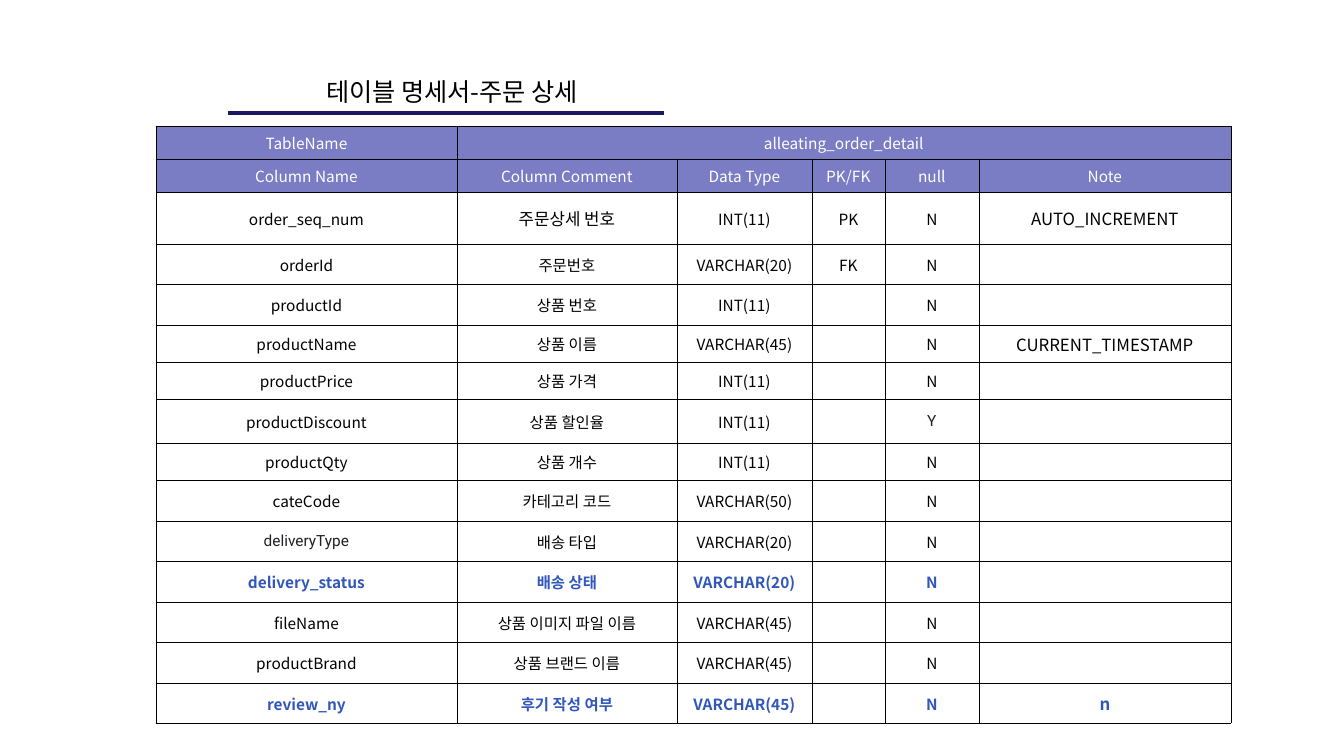
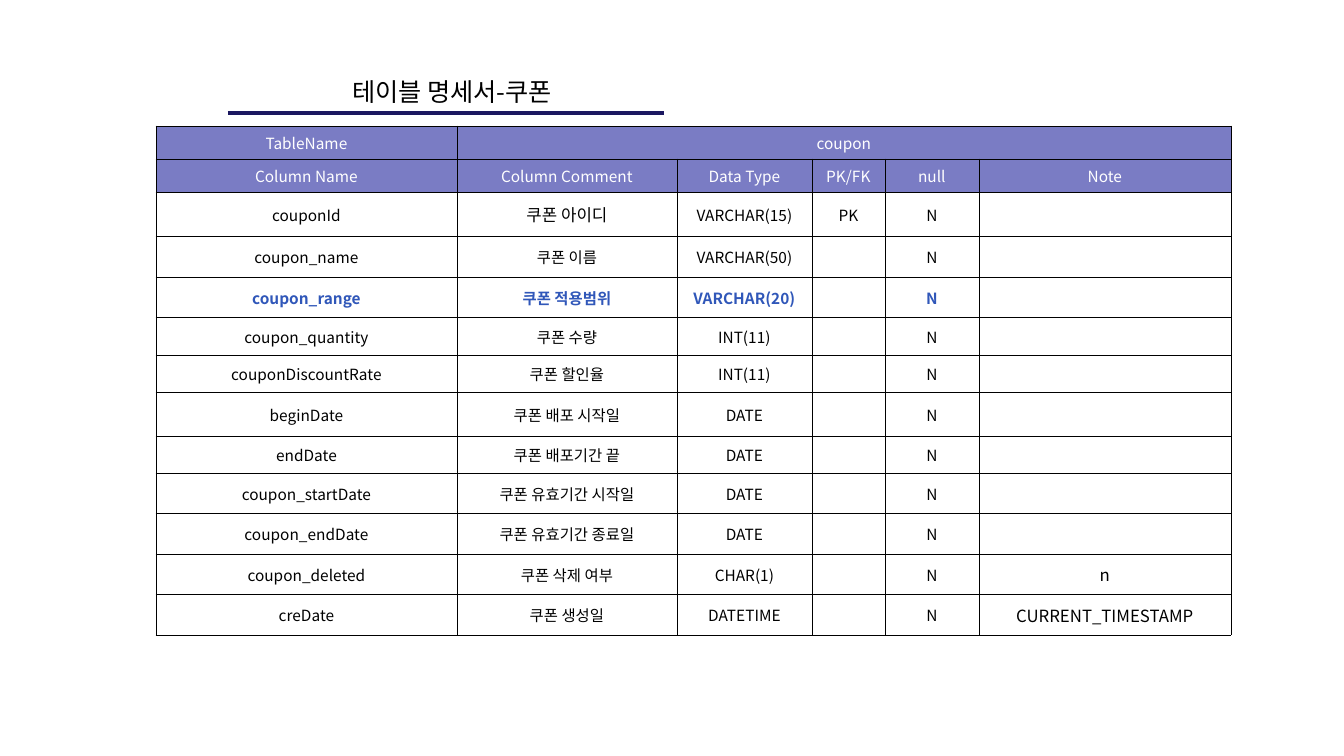
from itertools import product

from lxml.etree import SubElement
from pptx import Presentation
from pptx.dml.color import RGBColor
from pptx.enum.shapes import MSO_CONNECTOR
from pptx.enum.text import MSO_ANCHOR, MSO_AUTO_SIZE, PP_ALIGN
from pptx.oxml.ns import qn
from pptx.util import Emu, Pt

COLORS = {
    "header": "7A7CC4",
    "header_text": "FFFFFF",
    "text": "000000",
    "typed": "202124",
    "changed": "3057B9",
    "rule": "1B1760",
    "border": "000000",
}
FONT = "Noto Sans CJK KR"
TYPED_FONT = "Roboto"
SLIDE_WIDTH, SLIDE_HEIGHT = 1344, 756
TABLE_LEFT, TABLE_TOP = 156, 126
COLUMN_WIDTHS = [301, 220, 135, 73, 94, 252]
HEADER_HEIGHT = 33
HEADINGS = ["Column Name", "Column Comment", "Data Type", "PK/FK", "null", "Note"]
COMMENT, NOTE = HEADINGS.index("Column Comment"), HEADINGS.index("Note")
TEXT_SIZE, LARGE_SIZE, TITLE_SIZE = 11, 12, 18
BORDER_WIDTH = 0.6

# Each field: row height, then one value for each heading.
ORDER_FIELDS = [
    (52, "order_seq_num", "주문상세 번호", "INT(11)", "PK", "N", "AUTO_INCREMENT"),
    (40, "orderId", "주문번호", "VARCHAR(20)", "FK", "N", ""),
    (41, "productId", "상품 번호", "INT(11)", "", "N", ""),
    (37, "productName", "상품 이름", "VARCHAR(45)", "", "N", "CURRENT_TIMESTAMP"),
    (37, "productPrice", "상품 가격", "INT(11)", "", "N", ""),
    (44, "productDiscount", "상품 할인율", "INT(11)", "", "Y", ""),
    (37, "productQty", "상품 개수", "INT(11)", "", "N", ""),
    (41, "cateCode", "카테고리 코드", "VARCHAR(50)", "", "N", ""),
    (40, "deliveryType", "배송 타입", "VARCHAR(20)", "", "N", ""),
    (41, "delivery_status", "배송 상태", "VARCHAR(20)", "", "N", ""),
    (40, "fileName", "상품 이미지 파일 이름", "VARCHAR(45)", "", "N", ""),
    (41, "productBrand", "상품 브랜드 이름", "VARCHAR(45)", "", "N", ""),
    (40, "review_ny", "후기 작성 여부", "VARCHAR(45)", "", "N", "n"),
]
COUPON_FIELDS = [
    (44, "couponId", "쿠폰 아이디", "VARCHAR(15)", "PK", "N", ""),
    (41, "coupon_name", "쿠폰 이름", "VARCHAR(50)", "", "N", ""),
    (40, "coupon_range", "쿠폰 적용범위", "VARCHAR(20)", "", "N", ""),
    (38, "coupon_quantity", "쿠폰 수량", "INT(11)", "", "N", ""),
    (37, "couponDiscountRate", "쿠폰 할인율", "INT(11)", "", "N", ""),
    (44, "beginDate", "쿠폰 배포 시작일", "DATE", "", "N", ""),
    (37, "endDate", "쿠폰 배포기간 끝", "DATE", "", "N", ""),
    (40, "coupon_startDate", "쿠폰 유효기간 시작일", "DATE", "", "N", ""),
    (41, "coupon_endDate", "쿠폰 유효기간 종료일", "DATE", "", "N", ""),
    (40, "coupon_deleted", "쿠폰 삭제 여부", "CHAR(1)", "", "N", "n"),
    (41, "creDate", "쿠폰 생성일", "DATETIME", "", "N", "CURRENT_TIMESTAMP"),
]
CHANGED_FIELDS = {"delivery_status", "review_ny", "coupon_range"}
TYPED_VALUES = {"deliveryType", "Y"}


def px(length):
    return Emu(round(length * 914400 / 100.8))


def rgb(name):
    return RGBColor.from_string(COLORS[name])


def add_run(paragraph, text, size, color="text", bold=False, typeface=FONT):
    run = paragraph.add_run()
    run.text = text
    font = run.font
    font.size, font.bold, font.name = Pt(size), bold, typeface
    font.color.rgb = rgb(color)
    SubElement(font._element, qn("a:ea"), typeface=typeface)


def add_title(slide, title):
    box = slide.shapes.add_textbox(px(231), px(71), px(442), px(39))
    frame = box.text_frame
    frame.word_wrap = True
    frame.auto_size = MSO_AUTO_SIZE.SHAPE_TO_FIT_TEXT
    paragraph = frame.paragraphs[0]
    paragraph.alignment = PP_ALIGN.CENTER
    add_run(paragraph, title, TITLE_SIZE)


def add_title_rule(slide):
    rule = slide.shapes.add_connector(
        MSO_CONNECTOR.STRAIGHT, px(228), px(113), px(664), px(113))
    rule.line.color.rgb = rgb("rule")
    rule.line.width = Pt(3)
    SubElement(rule._element.spPr, qn("a:effectLst"))


def add_borders(cell):
    properties = cell._tc.get_or_add_tcPr()
    for side in ("a:lnL", "a:lnR", "a:lnT", "a:lnB"):
        border = SubElement(properties, qn(side), w=str(Pt(BORDER_WIDTH)))
        fill = SubElement(border, qn("a:solidFill"))
        SubElement(fill, qn("a:srgbClr"), val=COLORS["border"])


def fill_cell(cell, text, size=TEXT_SIZE, header=False, **style):
    cell.vertical_anchor = MSO_ANCHOR.MIDDLE
    add_borders(cell)
    if header:
        cell.fill.solid()
        cell.fill.fore_color.rgb = rgb("header")
        style["color"] = "header_text"
    else:
        cell.fill.background()
    paragraph = cell.text_frame.paragraphs[0]
    paragraph.alignment = PP_ALIGN.CENTER
    paragraph.line_spacing = 1.03
    if text:
        add_run(paragraph, text, size, **style)
    else:
        # Keeps the default 18 pt from stretching the row.
        SubElement(paragraph._p, qn("a:endParaRPr"), sz=str(size * 100))


def field_style(field_name, value):
    if field_name in CHANGED_FIELDS:
        return {"color": "changed", "bold": True}
    if value in TYPED_VALUES:
        return {"color": "typed", "typeface": TYPED_FONT}
    return {}


def add_spec_table(slide, table_name, fields):
    heights = [HEADER_HEIGHT] * 2 + [height for height, *_ in fields]
    table = slide.shapes.add_table(
        len(heights), len(COLUMN_WIDTHS), px(TABLE_LEFT), px(TABLE_TOP),
        px(sum(COLUMN_WIDTHS)), px(sum(heights))).table
    table.first_row = table.horz_banding = False
    for column, width in zip(table.columns, COLUMN_WIDTHS):
        column.width = px(width)
    for row, height in zip(table.rows, heights):
        row.height = px(height)

    name_row = ["TableName", table_name] + [""] * (len(HEADINGS) - 2)
    values = [name_row, HEADINGS] + [field[1:] for field in fields]
    for r, c in product(range(len(values)), range(len(HEADINGS))):
        value = values[r][c]
        if r < 2:
            fill_cell(table.cell(r, c), value, header=True)
        else:
            large = c == NOTE or (r == 2 and c == COMMENT)
            fill_cell(table.cell(r, c), value,
                      LARGE_SIZE if large and value else TEXT_SIZE,
                      **field_style(values[r][0], value))
    table.cell(0, 1).merge(table.cell(0, len(HEADINGS) - 1))


def add_spec_slide(deck, title, table_name, fields):
    slide = deck.slides.add_slide(deck.slide_layouts[6])
    add_spec_table(slide, table_name, fields)
    add_title_rule(slide)
    add_title(slide, title)


def main():
    deck = Presentation()
    deck.slide_width, deck.slide_height = px(SLIDE_WIDTH), px(SLIDE_HEIGHT)
    add_spec_slide(deck, "테이블 명세서-주문 상세", "alleating_order_detail", ORDER_FIELDS)
    add_spec_slide(deck, "테이블 명세서-쿠폰", "coupon", COUPON_FIELDS)
    deck.save("out.pptx")


if __name__ == "__main__":
    main()
